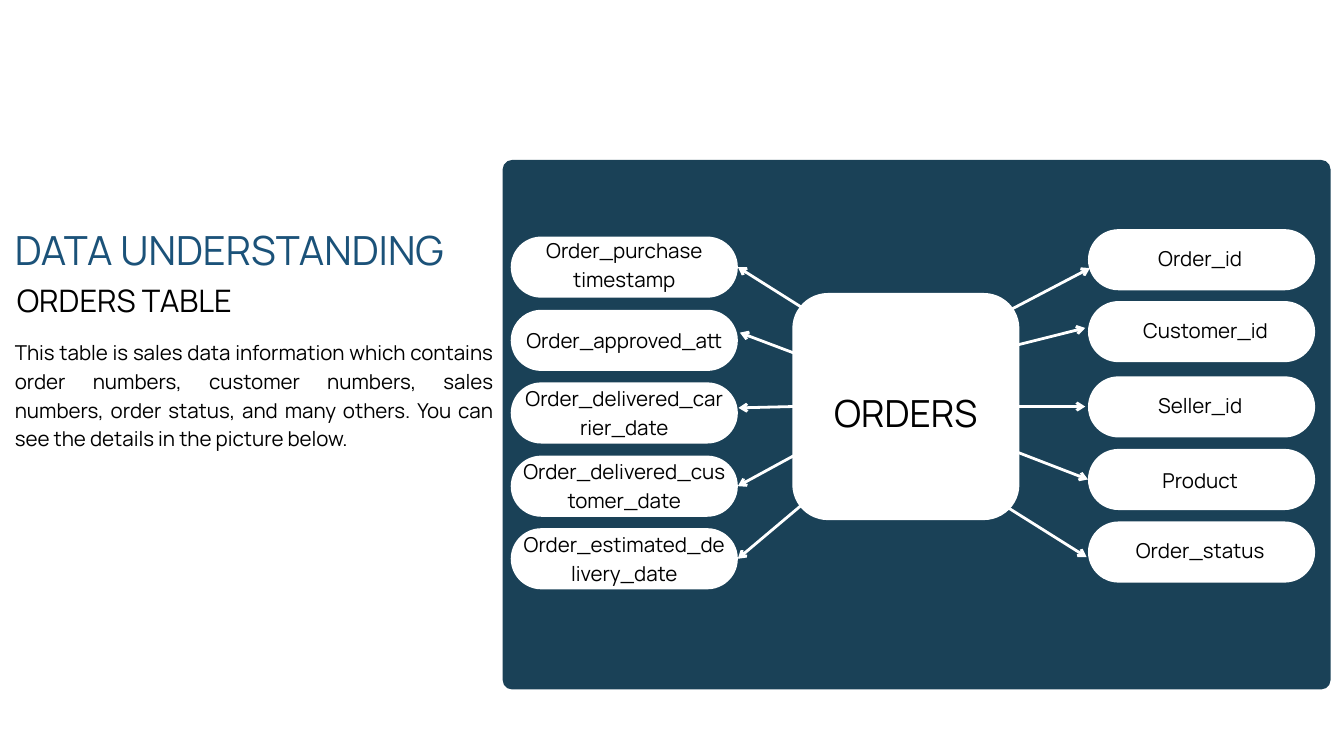
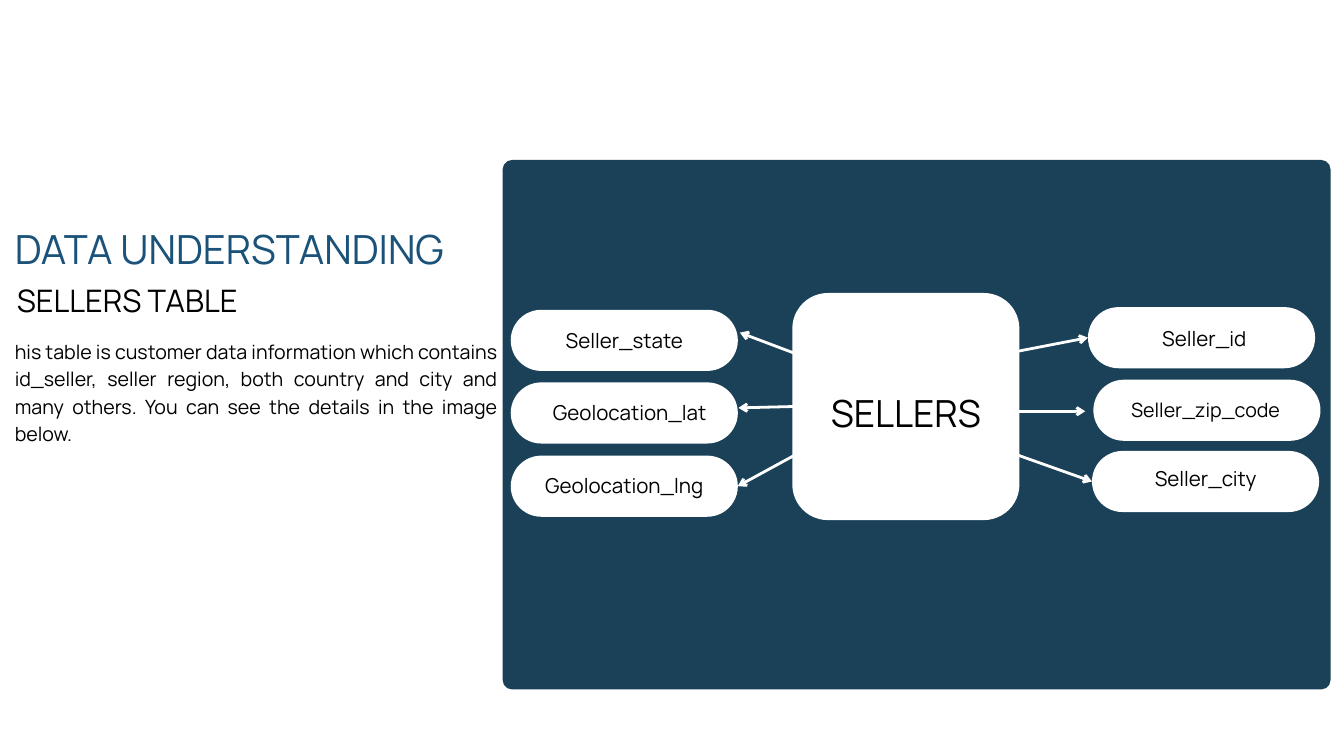
from dataclasses import dataclass

import pptx
import pptx.dml.color
import pptx.enum.shapes
import pptx.enum.text
import pptx.oxml
import pptx.oxml.ns
import pptx.util
from pptx.util import Inches

ALIGN = pptx.enum.text.PP_ALIGN
RIGHT_COLUMN, LEFT_COLUMN = 16.19, 7.6
LEFT_FIRST_TOP, LEFT_PITCH = 3.52, 1.085
PILL_WIDTH, PILL_HEIGHT = 3.38, 0.91


@dataclass(frozen=True)
class Theme:
    font: str = "Manrope"
    panel: str = "1A4157"
    title: str = "1B5279"
    ink: str = "000000"
    white: str = "FFFFFF"
    title_size: float = 43
    subtitle_size: float = 33.2
    hub_size: float = 40
    body_size: float = 22
    small_size: float = 21
    arrow_width: float = 3
    leading: float = 1.4
    title_leading: float = 1.22


THEME = Theme()


@dataclass(frozen=True)
class Field:
    """A table column in a pill; without a tip, its arrow joins the pill."""
    name: str
    top: float
    label_top: float
    start: tuple
    tip: tuple = None
    left: float = RIGHT_COLUMN
    label_shift: float = 0
    label_width: float = 3.42
    size: float = THEME.body_size


def left_field(row, name, label_top, start, tip=None, **options):
    top = round(LEFT_FIRST_TOP + row * LEFT_PITCH, 2)
    options.setdefault("label_width", 3.03)
    return Field(name, top, label_top, start, tip, left=LEFT_COLUMN, **options)


ORDER_FIELDS = [
    left_field(0, "Order_purchase\ntimestamp", 3.48, (13.48, 5.55), label_width=3.42),
    left_field(1, "Order_approved_att", 4.82, (12.6, 5.55), (11.01, 4.95), label_width=3.52),
    left_field(2, "Order_delivered_carrier_date", 5.68, (12.6, 6.03), (10.99, 6.07)),
    left_field(3, "Order_delivered_customer_date", 6.77, (12.86, 6.21)),
    left_field(4, "Order_estimated_delivery_date", 7.86, (13.48, 6.21)),
    Field("Order_id", 3.41, 3.6, (12.86, 5.75), (16.22, 3.99), label_shift=-0.02),
    Field("Customer_id", 4.48, 4.67, (13.48, 5.55), (16.15, 4.88), label_shift=0.06),
    Field("Seller_id", 5.6, 5.78, (12.86, 6.05), (16.15, 6.05), label_shift=-0.02),
    Field("Product", 6.68, 6.9, (12.86, 5.85), label_shift=-0.02),
    Field("Order_status", 7.76, 7.94, (12.86, 6.21), (16.17, 8.29), label_shift=-0.02),
]

SELLER_FIELDS = [
    left_field(1, "Seller_state", 4.82, (12.6, 5.55), (11.01, 4.95)),
    left_field(2, "Geolocation_lat", 5.89, (12.6, 6.03), (10.99, 6.07), label_shift=0.08),
    left_field(3, "Geolocation_lng", 6.98, (12.86, 6.21)),
    Field("Seller_id", 4.57, 4.79, (13.48, 5.55), label_shift=0.04),
    Field("Seller_zip_code", 5.65, 5.87, (12.86, 6.12), (16.15, 6.12), left=16.27,
          label_shift=-0.02, size=THEME.small_size),
    Field("Seller_city", 6.71, 6.88, (12.86, 5.96), left=16.25),
]


def rgb(color):
    return pptx.dml.color.RGBColor.from_string(color)


def add_text(slide, text, left, top, width, height, *, size=THEME.body_size,
             color=THEME.ink, align=ALIGN.CENTER, leading=THEME.leading):
    box = slide.shapes.add_textbox(*map(Inches, (left, top, width, height)))
    frame = box.text_frame
    frame.margin_left = frame.margin_right = frame.margin_top = frame.margin_bottom = 0
    frame.word_wrap = True
    frame.auto_size = pptx.enum.text.MSO_AUTO_SIZE.SHAPE_TO_FIT_TEXT
    frame.text = text
    for paragraph in frame.paragraphs:
        paragraph.alignment = align
        paragraph.line_spacing = pptx.util.Pt(round(size * leading, 1))
        paragraph.font.name = THEME.font
        paragraph.font.size = pptx.util.Pt(size)
        paragraph.font.color.rgb = rgb(color)


def add_rounded(slide, left, top, width, height, *, color=THEME.white, radius):
    shape = slide.shapes.add_shape(
        pptx.enum.shapes.MSO_SHAPE.ROUNDED_RECTANGLE,
        *map(Inches, (left, top, width, height)))
    shape.adjustments[0] = radius / min(width, height)
    shape.shadow.inherit = False
    shape.fill.solid()
    shape.fill.fore_color.rgb = rgb(color)
    shape.line.fill.background()
    return shape


def add_arrow(slide, field, pill):
    tip = field.tip or field.start
    arrow = slide.shapes.add_connector(
        pptx.enum.shapes.MSO_CONNECTOR.STRAIGHT, *map(Inches, field.start + tip))
    if field.tip is None:
        arrow.end_connect(pill, 3 if field.left == LEFT_COLUMN else 1)
    arrow.line.color.rgb = rgb(THEME.white)
    arrow.line.width = pptx.util.Pt(THEME.arrow_width)
    head = pptx.oxml.parse_xml(
        f'<a:tailEnd {pptx.oxml.ns.nsdecls("a")} type="arrow"/>')
    arrow.line._get_or_add_ln().append(head)
    properties = arrow._element.spPr
    properties.append(pptx.oxml.parse_xml(
        f'<a:effectLst {pptx.oxml.ns.nsdecls("a")}/>'))


def add_field(slide, field):
    pill = add_rounded(slide, field.left, field.top, PILL_WIDTH, PILL_HEIGHT,
                       radius=PILL_HEIGHT / 2)
    add_arrow(slide, field, pill)
    label_left = field.left + (PILL_WIDTH - field.label_width) / 2 + field.label_shift
    add_text(slide, field.name, label_left, field.label_top,
             field.label_width, 0.43, size=field.size)


def add_table_slide(deck, table, description, fields, *, title_top=3.34,
                    description_width=7.12, description_size=THEME.body_size):
    slide = deck.slides.add_slide(deck.slide_layouts[6])
    add_rounded(slide, 7.48, 2.38, 12.32, 7.88, color=THEME.panel, radius=0.14)
    for field in fields:
        add_field(slide, field)
    add_rounded(slide, 11.79, 4.36, 3.38, 3.38, radius=0.53)
    add_text(slide, table, 11.79, 5.69, 3.38, 0.78, size=THEME.hub_size)
    add_text(slide, "DATA UNDERSTANDING", 0.22, title_top, 7.2, 0.75,
             size=THEME.title_size, color=THEME.title, align=ALIGN.LEFT,
             leading=THEME.title_leading)
    add_text(slide, f"{table} TABLE", 0.25, 4.1, 6.17, 0.66,
             size=THEME.subtitle_size, align=ALIGN.JUSTIFY)
    add_text(slide, description, 0.22, 5, description_width, 2.1,
             size=description_size, align=ALIGN.JUSTIFY)


def main():
    deck = pptx.Presentation()
    deck.slide_width, deck.slide_height = Inches(20), Inches(11.25)
    add_table_slide(
        deck, "ORDERS",
        "This table is sales data information which contains order numbers, "
        "customer numbers, sales numbers, order status, and many others. "
        "You can see the details in the picture below.",
        ORDER_FIELDS)
    add_table_slide(
        deck, "SELLERS",
        "his table is customer data information which contains id_seller, "
        "seller region, both country and city and many others. "
        "You can see the details in the image below.",
        SELLER_FIELDS, title_top=3.33, description_width=7.18,
        description_size=THEME.small_size)
    deck.save("out.pptx")


if __name__ == "__main__":
    main()
